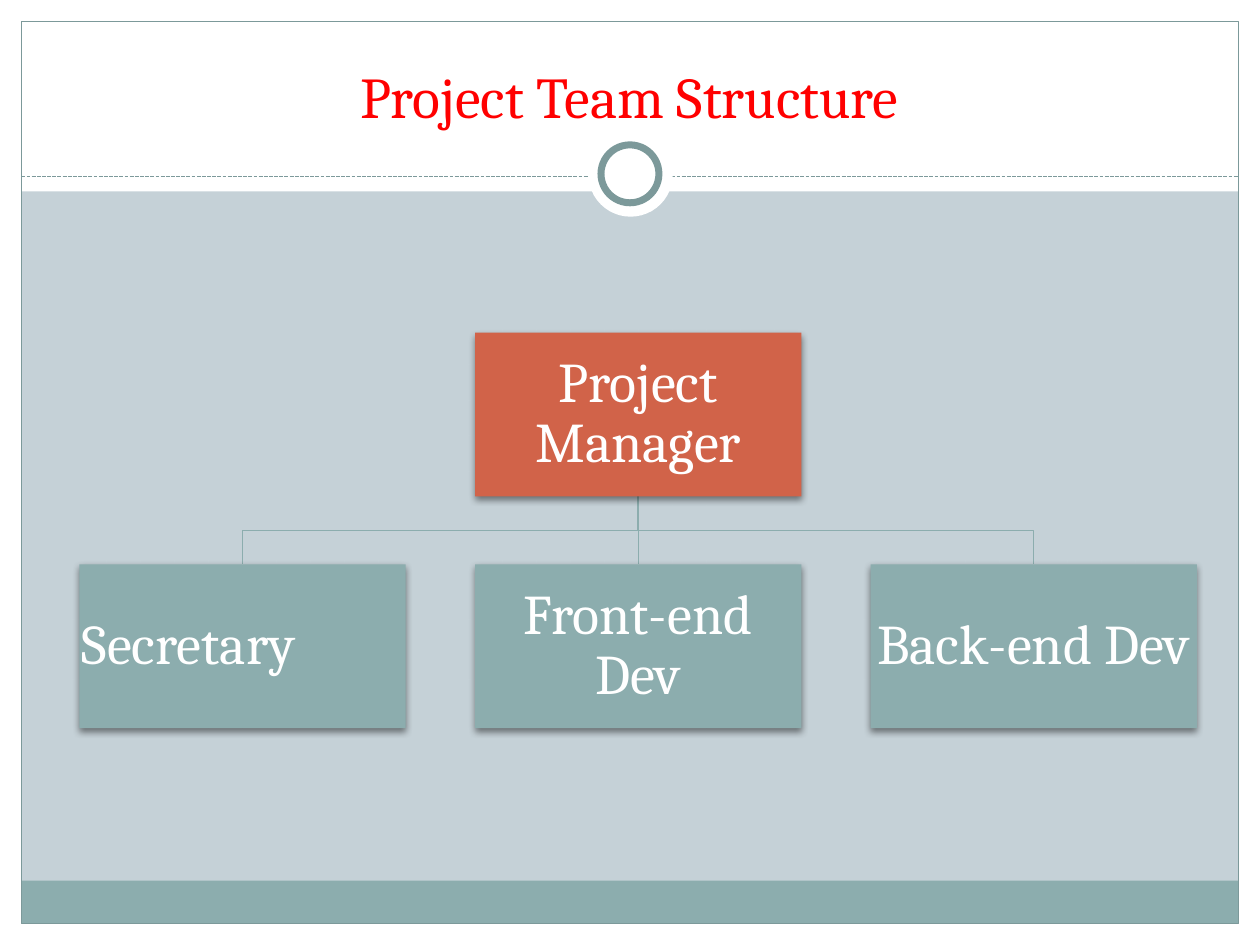
from pptx import Presentation
from pptx.dml.color import RGBColor
from pptx.enum.dml import MSO_LINE
from pptx.enum.shapes import MSO_CONNECTOR, MSO_SHAPE
from pptx.enum.text import MSO_ANCHOR, PP_ALIGN
from pptx.oxml import parse_xml
from pptx.oxml.ns import nsdecls, qn
from pptx.util import Inches, Pt

WHITE = RGBColor(0xFF, 0xFF, 0xFF)
PALE = RGBColor(0xC5, 0xD1, 0xD7)
TEAL = RGBColor(0x8C, 0xAD, 0xAE)
DARK_TEAL = RGBColor(0x7C, 0x99, 0x9A)
ORANGE = RGBColor(0xD1, 0x63, 0x49)
RED = RGBColor(0xFF, 0x00, 0x00)
FONT = "Cambria"

TITLE = "Project Team Structure"
MANAGER = "Project Manager"
TEAM = [
    ("Secretary", PP_ALIGN.LEFT),
    ("Front-end Dev", PP_ALIGN.CENTER),
    ("Back-end Dev", PP_ALIGN.CENTER),
]
WIDTH, HEIGHT, MARGIN = 10, 7.5, 0.17
BANDS = [
    (0, HEIGHT - MARGIN, WIDTH, MARGIN, WHITE),
    (0, 0, WIDTH, 1.52, WHITE),
    (0, 0, MARGIN, HEIGHT, WHITE),
    (WIDTH - MARGIN, 0, MARGIN, HEIGHT, WHITE),
    (MARGIN, 6.99, WIDTH - 2 * MARGIN, 0.34, TEAL),
]
BOX_W, BOX_H = 2.59, 1.3
TEAM_LEFT, TEAM_STEP = 0.63, 3.14
MANAGER_TOP, TEAM_TOP = 2.64, 4.48


def add_shape(s, kind, x, y, w, h, fill=None, line=None, weight=0.75):
    sp = s.shapes.add_shape(kind, Inches(x), Inches(y), Inches(w), Inches(h))
    sp.shadow.inherit = False
    if fill is None:
        sp.fill.background()
    else:
        sp.fill.solid()
        sp.fill.fore_color.rgb = fill
    if line is None:
        sp.line.fill.background()
    else:
        sp.line.color.rgb = line
        sp.line.width = Pt(weight)
    return sp


def add_line(s, x1, y1, x2, y2, color):
    line = s.shapes.add_connector(
        MSO_CONNECTOR.STRAIGHT, Inches(x1), Inches(y1), Inches(x2), Inches(y2))
    line.line.color.rgb = color
    line.line.width = Pt(0.75)
    line._element.spPr.append(parse_xml(f"<a:effectLst {nsdecls('a')}/>"))
    return line


def add_elbow(s, x1, y1, x2, y2):
    mid = (y1 + y2) / 2
    points = [(Inches(x), Inches(y)) for x, y in [(x1, mid), (x2, mid), (x2, y2)]]
    builder = s.shapes.build_freeform(Inches(x1), Inches(y1))
    builder.add_line_segments(points, close=False)
    sp = builder.convert_to_shape()
    sp.shadow.inherit = False
    sp.fill.background()
    sp.line.color.rgb = TEAL
    sp.line.width = Pt(0.75)


def set_text(tf, text, size, color, align, anchor):
    tf.word_wrap = True
    tf.vertical_anchor = anchor
    p = tf.paragraphs[0]
    p.text = text
    p.alignment = align
    p.font.name = FONT
    p.font.size = Pt(size)
    p.font.color.rgb = color
    return p


def add_box(s, x, y, text, fill, align=PP_ALIGN.CENTER):
    sp = add_shape(s, MSO_SHAPE.RECTANGLE, x, y, BOX_W, BOX_H, fill)
    sp._element.spPr.find(qn("a:effectLst")).append(parse_xml(
        f'<a:outerShdw {nsdecls("a")} blurRad="{Pt(4)}" dist="{Pt(2)}" '
        'dir="5400000" rotWithShape="0"><a:srgbClr val="000000">'
        '<a:alpha val="45000"/></a:srgbClr></a:outerShdw>'))
    tf = sp.text_frame
    tf.margin_left = tf.margin_right = tf.margin_top = tf.margin_bottom = Inches(0.02)
    p = set_text(tf, text, 32, WHITE, align, MSO_ANCHOR.MIDDLE)
    p.line_spacing = 0.9
    return sp


def add_frame(s):
    for x, y, w, h, fill in BANDS:
        add_shape(s, MSO_SHAPE.RECTANGLE, x, y, w, h, fill)
    add_shape(s, MSO_SHAPE.RECTANGLE, MARGIN, MARGIN,
              WIDTH - 2 * MARGIN, HEIGHT - 2 * MARGIN, line=DARK_TEAL)
    divider = add_line(s, MARGIN, 1.4, WIDTH - MARGIN, 1.4, DARK_TEAL)
    divider.line.dash_style = MSO_LINE.SQUARE_DOT
    add_shape(s, MSO_SHAPE.OVAL, 4.67, 1.05, 0.67, 0.67, WHITE)
    add_shape(s, MSO_SHAPE.OVAL, 4.77, 1.15, 0.46, 0.46, WHITE, DARK_TEAL, 4)


def add_chart_boxes(s):
    lefts = [TEAM_LEFT + i * TEAM_STEP for i in range(len(TEAM))]
    centers = [x + BOX_W / 2 for x in lefts]
    bottom = MANAGER_TOP + BOX_H
    for i in (2, 0):
        add_elbow(s, centers[1], bottom, centers[i], TEAM_TOP)
    stem = add_line(s, centers[1], bottom, centers[1], TEAM_TOP, TEAL)
    manager = add_box(s, lefts[1], MANAGER_TOP, MANAGER, ORANGE)
    members = [add_box(s, x, TEAM_TOP, text, TEAL, align)
               for x, (text, align) in zip(lefts, TEAM)]
    stem.begin_connect(manager, 2)
    stem.end_connect(members[1], 0)


def main():
    prs = Presentation()
    prs.slide_width, prs.slide_height = Inches(WIDTH), Inches(HEIGHT)
    s = prs.slides.add_slide(prs.slide_layouts[6])
    s.background.fill.solid()
    s.background.fill.fore_color.rgb = PALE
    add_frame(s)
    title = s.shapes.add_textbox(Inches(0.33), Inches(0.25), Inches(9.33), Inches(0.83))
    set_text(title.text_frame, TITLE, 33, RED, PP_ALIGN.CENTER, MSO_ANCHOR.BOTTOM)
    add_chart_boxes(s)
    prs.save("out.pptx")


if __name__ == "__main__":
    main()
